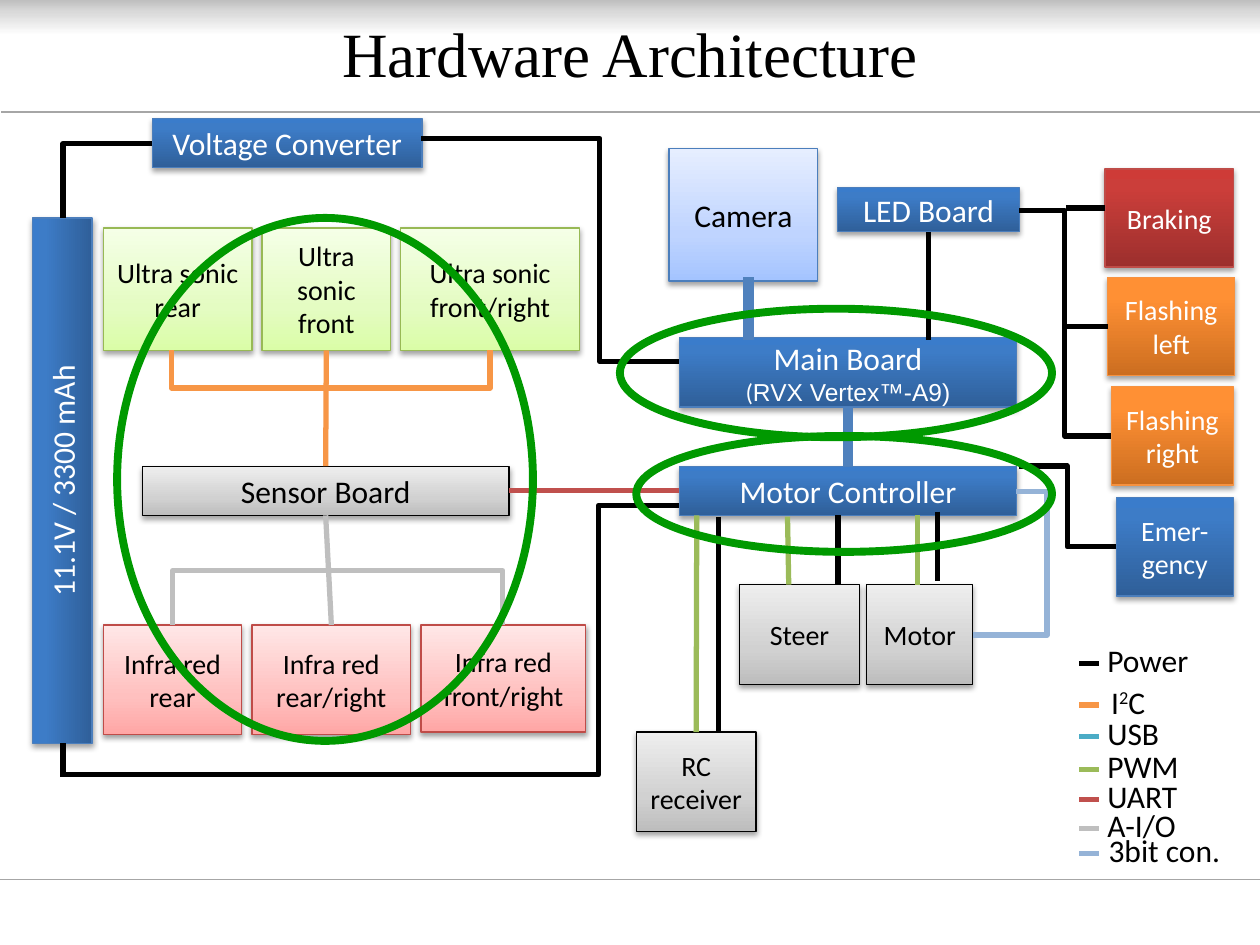
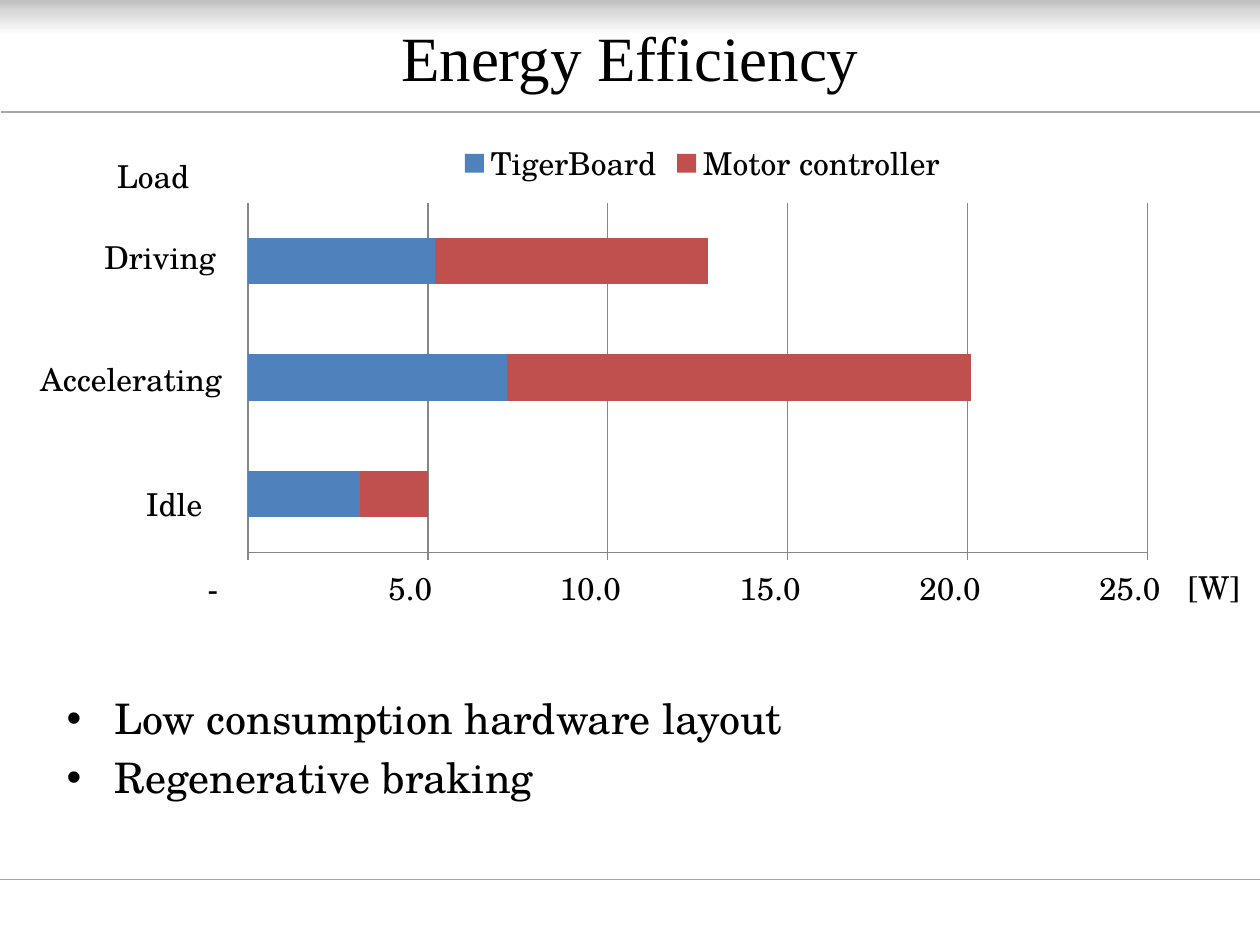
import copy
import dataclasses
import lxml.etree as etree
import pptx
import pptx.chart.data
import pptx.dml.color
import pptx.enum.chart
import pptx.enum.dml
import pptx.enum.shapes
import pptx.enum.text
import pptx.oxml.ns
import pptx.util

qn = pptx.oxml.ns.qn
RGB = pptx.dml.color.RGBColor.from_string
Pt = pptx.util.Pt
KIND = pptx.enum.shapes.MSO_SHAPE
LINK = pptx.enum.shapes.MSO_CONNECTOR
ALIGN = pptx.enum.text.PP_ALIGN
ANCHOR = pptx.enum.text.MSO_ANCHOR


@dataclasses.dataclass(frozen=True)
class Theme:
    sans: str = "Calibri"
    serif: str = "TeX Gyre Schola"
    head: str = "Times New Roman"
    title: int = 36
    list: int = 24
    body: int = 18
    small: int = 16
    note: int = 14
    ink: str = "000000"
    rule: str = "A6A6A6"
    grid: str = "868686"
    ring: str = "009900"
    link: str = "4F81BD"
    power: str = "000000"
    i2c: str = "F79646"
    usb: str = "4BACC6"
    pwm: str = "9BBB59"
    uart: str = "C0504D"
    aio: str = "BFBFBF"
    bits: str = "95B3D7"


theme = Theme()
looks = {
    "band": ([(0, "FFFFFF"), (66, "D9D9D9"), (100, "BFBFBF")], None, "000000"),
    "blue": ([(0, "2F5F99"), (80, "3D7CC7"), (100, "3A7CCB")], "4B7EBC", "FFFFFF"),
    "red": ([(0, "9C2F2D"), (80, "CB3E3A"), (100, "CE3B37")], "BF4C48", "FFFFFF"),
    "amber": ([(0, "CC6E20"), (80, "FF9034"), (100, "FF9136")], "F69240", "FFFFFF"),
    "sky": ([(0, "A4C4FF"), (35, "BFD4FF"), (100, "E6EEFF")], "4B7EBC", "000000"),
    "lime": ([(0, "DAFDA7"), (35, "E4FCC2"), (100, "F5FFE7")], "98B955", "000000"),
    "pink": ([(0, "FFA6A5"), (35, "FFC0BF"), (100, "FFE7E7")], "BF4C48", "000000"),
    "gray": ([(0, "BDBDBD"), (35, "D1D1D1"), (100, "EEEEEE")], "000000", "000000"),
}

deck = pptx.Presentation()
deck.slide_width = pptx.util.Inches(10)
deck.slide_height = pptx.util.Inches(7.5)
cell = deck.slide_width / 100


def draw(page, at, text="", look=None, size=theme.body, font=theme.sans,
         align=ALIGN.LEFT, anchor=ANCHOR.TOP, pad=0.5, wrap=True):
    place = [round(n * cell) for n in at]
    ink = theme.ink
    if look:
        stops, edge, ink = looks[look]
        shape = page.shapes.add_shape(KIND.RECTANGLE, *place)
        shape.fill.gradient()
        shape.fill.gradient_angle = 90
        bag = shape._element.spPr.find(qn("a:gradFill")).find(qn("a:gsLst"))
        for old in list(bag):
            bag.remove(old)
        for pos, tone in stops:
            stop = etree.SubElement(bag, qn("a:gs"), pos=str(pos * 1000))
            etree.SubElement(stop, qn("a:srgbClr"), val=tone)
        shape.shadow.inherit = False
        if edge:
            shape.line.color.rgb = RGB(edge)
            shape.line.width = Pt(0.75)
            glow = shape._element.spPr.find(qn("a:effectLst"))
            cast = etree.SubElement(glow, qn("a:outerShdw"), blurRad="40000",
                                    dist="22000", dir="5400000", rotWithShape="0")
            tone = etree.SubElement(cast, qn("a:srgbClr"), val=theme.ink)
            etree.SubElement(tone, qn("a:alpha"), val="36000")
        else:
            shape.line.fill.background()
    else:
        shape = page.shapes.add_textbox(*place)
    frame = shape.text_frame
    frame.word_wrap = wrap
    frame.vertical_anchor = anchor
    frame.margin_top = frame.margin_bottom = round(pad * cell)
    frame.text = text
    for para in frame.paragraphs:
        para.alignment = align
        for run in para.runs:
            run.font.size = Pt(size)
            run.font.name = font
            run.font.color.rgb = RGB(ink)
    return shape


def wire(page, ends, tone, bend=None, width=3, start=None, stop=None):
    kind = LINK.STRAIGHT if bend is None else LINK.ELBOW
    line = page.shapes.add_connector(kind, *[round(n * cell) for n in ends])
    if start:
        line.begin_connect(*start)
    if stop:
        line.end_connect(*stop)
    line.line.color.rgb = RGB(tone)
    line.line.width = Pt(width)
    form = line._element.spPr
    if bend is not None:
        share = round((bend - ends[0]) / (ends[2] - ends[0]) * 100000)
        etree.SubElement(form.find(qn("a:prstGeom")).find(qn("a:avLst")),
                         qn("a:gd"), name="adj1", fmla=f"val {share}")
    etree.SubElement(form, qn("a:effectLst"))


pages = []
for name, at, anchor, pad in [
    ("Hardware Architecture", (5, 0.3, 90, 7.7), ANCHOR.MIDDLE, 0.5),
    ("Energy Efficiency", (0, 2.1, 100, 6.4), ANCHOR.BOTTOM, 1),
]:
    page = deck.slides.add_slide(deck.slide_layouts[6])
    draw(page, (0, 0, 100, 2.8), look="band")
    wire(page, (0.1, 8.9, 100, 8.9), theme.rule, width=0.75)
    wire(page, (0, 69.8, 100, 69.8), theme.rule, width=0.75)
    draw(page, at, name, size=theme.title, font=theme.head,
         align=ALIGN.CENTER, anchor=anchor, pad=pad)
    pages.append(page)
plan, power = pages

node = {}
for look, size, text, at in [
    ("pink", theme.small, "Infra red rear", (8.2, 49.6, 11, 8.7)),
    ("pink", theme.small, "Infra red rear/right", (20, 49.6, 12.6, 8.7)),
    ("pink", theme.small, "Infra red front/right", (33.4, 49.6, 13.1, 8.5)),
    ("lime", theme.small, "Ultra sonic rear", (8.2, 18.1, 11.8, 9.7)),
    ("lime", theme.small, "Ultra sonic front", (20.8, 18.1, 10.2, 9.7)),
    ("lime", theme.small, "Ultra sonic front/right", (31.8, 18.1, 14.2, 9.7)),
    ("gray", theme.small, "Steer", (58.7, 46.4, 9.5, 7.9)),
    ("gray", theme.small, "Motor", (68.8, 46.4, 8.4, 7.9)),
    ("gray", theme.small, "RC receiver", (50.5, 58.1, 9.5, 7.9)),
    ("red", theme.small, "Braking", (87.7, 13.4, 10.2, 7.8)),
    ("amber", theme.small, "Flashing left", (87.9, 22, 10.1, 7.8)),
    ("amber", theme.small, "Flashing right", (88.2, 30.7, 9.7, 7.8)),
    ("blue", theme.small, "Emer-gency", (88.6, 39.5, 9.3, 7.8)),
    ("sky", theme.body, "Camera", (53.1, 11.8, 11.8, 10.5)),
    ("gray", theme.body, "Sensor Board", (11.3, 37, 29.1, 3.9)),
    ("blue", theme.body, "Main Board\n(", (53.9, 26.8, 26.8, 5.5)),
    ("blue", theme.body, "Motor Controller", (53.9, 37, 26.8, 3.9)),
    ("blue", theme.body, "Voltage Converter", (12.1, 9.4, 21.4, 3.9)),
    ("blue", theme.body, "LED Board", (66.5, 14.9, 14.4, 3.5)),
    ("blue", theme.body, "11.1V / 3300 mAh", (-15.9, 35.8, 41.7, 4.7)),
]:
    node[text.split("\n")[0]] = draw(plan, at, text, look, size,
                                     align=ALIGN.CENTER, anchor=ANCHOR.MIDDLE)
node["11.1V / 3300 mAh"].rotation = 270

chip = node["Main Board"].text_frame.paragraphs[1]
chip._p.append(copy.deepcopy(chip.runs[0]._r))
chip.runs[1].text = "RVX Vertex™-A9)"
chip.runs[1].font.name = "Arial"
for run in chip.runs:
    run.font.size = Pt(theme.note)

for ends, tone, bend in [
    ((25.9, 30.8, 13.6, 27.8), theme.i2c, 13.6),
    ((25.9, 30.8, 38.9, 27.8), theme.i2c, 38.9),
    ((25.9, 45.3, 13.7, 49.6), theme.aio, 13.7),
    ((25.9, 45.3, 39.9, 49.6), theme.aio, 39.9),
    ((12.1, 11.4, 5, 17.3), theme.power, 5),
    ((53.9, 28.7, 33.4, 11), theme.power, 47.6),
    ((53.9, 40.1, 4.8, 61.5), theme.power, 47.5),
    ((5, 61.5, 5, 59), theme.power, None),
    ((88.2, 34.6, 80.9, 16.7), theme.power, 84.5),
    ((88.6, 43.4, 80.9, 37), theme.power, 84.7),
    ((84.6, 16.5, 87.7, 16.5), theme.power, None),
    ((77.2, 50.4, 80.6, 39), theme.bits, 83.1),
    ((62.5, 41, 62.6, 46.4), theme.pwm, None),
    ((72.8, 40.9, 72.8, 46.4), theme.pwm, None),
    ((66.5, 40.9, 66.5, 46.4), theme.power, None),
    ((74.4, 40.6, 74.4, 46.1), theme.power, None),
    ((57, 41, 57, 58.2), theme.power, None),
]:
    wire(plan, ends, tone, bend)

sense, drive = node["Sensor Board"], node["Motor Controller"]
wire(plan, (59.4, 22, 59.4, 27), theme.link, width=6)
wire(plan, (67.3, 32.3, 67.3, 37), theme.link, width=6,
     start=(node["Main Board"], 2), stop=(drive, 0))
wire(plan, (40.4, 39, 53.9, 39), theme.uart, start=(sense, 3), stop=(drive, 1))
wire(plan, (25.9, 37, 25.9, 27.8), theme.i2c,
     start=(sense, 0), stop=(node["Ultra sonic front"], 2))
wire(plan, (25.9, 40.9, 26.3, 49.6), theme.aio,
     start=(sense, 2), stop=(node["Infra red rear/right"], 0))
wire(plan, (73.7, 18.4, 73.7, 27), theme.power, start=(node["LED Board"], 2))
wire(plan, (55.3, 40.9, 55.3, 58.1), theme.pwm, stop=(node["RC receiver"], 0))
wire(plan, (84.6, 25.9, 87.9, 25.9), theme.power, stop=(node["Flashing left"], 1))

for text, tone, left, top in [
    ("Power", theme.power, 86.9, 50.4),
    ("I", theme.i2c, 87.2, 53.7),
    ("USB", theme.usb, 86.9, 56.2),
    ("PWM", theme.pwm, 86.9, 58.8),
    ("UART", theme.uart, 86.9, 61.2),
    ("A-I/O", theme.aio, 86.9, 63.5),
    ("3bit con.", theme.bits, 87, 65.5),
]:
    key = draw(plan, (left, top, 11, 4), text, wrap=False)
    wire(plan, (87.2, top + 2.25, 85.6, top + 2.25), tone)
    if text == "I":
        para = key.text_frame.paragraphs[0]
        for more in "2C":
            para._p.append(copy.deepcopy(para.runs[0]._r))
            para.runs[-1].text = more
        para.runs[1]._r.rPr.set("baseline", "30000")

for at in [(49.2, 24.5, 34.3, 10.2), (50.5, 34.6, 33, 9.2), (9.3, 17.3, 33, 41.5)]:
    ring = plan.shapes.add_shape(KIND.OVAL, *[round(n * cell) for n in at])
    ring.fill.background()
    ring.line.color.rgb = RGB(theme.ring)
    ring.line.width = Pt(4.5)
    ring.shadow.inherit = False

data = pptx.chart.data.CategoryChartData()
data.categories = ["1", "2", "3"]
data.add_series("TigerBoard", (3.1, 7.2, 5.2))
data.add_series("Motor controller", (1.9, 12.9, 7.6))
chart = power.shapes.add_chart(
    pptx.enum.chart.XL_CHART_TYPE.BAR_STACKED,
    *[round(n * cell) for n in (14.2, 9.9, 83.1, 39.4)], data).chart
chart.font.name = theme.serif
chart.font.size = Pt(theme.body)
chart.font.color.rgb = RGB(theme.ink)
chart.has_title = False
chart.has_legend = True
chart.legend.position = pptx.enum.chart.XL_LEGEND_POSITION.TOP
chart.legend.include_in_layout = False
chart.legend.font.size = Pt(theme.body)
plot = chart.plots[0]
plot.gap_width = 150
plot.overlap = 100
plot.vary_by_categories = False
for bar, tone in zip(plot.series, (theme.link, theme.uart)):
    bar.format.fill.solid()
    bar.format.fill.fore_color.rgb = RGB(tone)
chart.category_axis.visible = False
axis = chart.value_axis
axis.minimum_scale, axis.maximum_scale, axis.major_unit = 0, 25, 5
axis.major_tick_mark = pptx.enum.chart.XL_TICK_MARK.OUTSIDE
axis.tick_labels.font.size = Pt(theme.body)
axis.tick_labels.number_format = (
    r'_-* #,##0.0\ _k_r_-;\-* #,##0.0\ _k_r_-;_-* "-"??\ _k_r_-;_-@_-')
axis.tick_labels.number_format_is_linked = False
for edge in (axis.format.line, axis.major_gridlines.format.line):
    edge.color.rgb = RGB(theme.grid)
    edge.width = Pt(0.75)

area = chart._chartSpace.chart.plotArea
for old in area.findall(qn("c:layout")):
    area.remove(old)
frame = etree.Element(qn("c:layout"))
area.insert(0, frame)
spot = etree.SubElement(frame, qn("c:manualLayout"))
for tag, val in [("layoutTarget", "inner"), ("xMode", "edge"), ("yMode", "edge"),
                 ("x", 0.066), ("y", 0.157), ("w", 0.859), ("h", 0.705)]:
    etree.SubElement(spot, qn("c:" + tag), val=str(val))

for text, at, pad in [
    ("[W]", (93.3, 44.1, 7.1, 6.4), 1),
    ("Load", (8.3, 11.5, 11.8, 6.4), 1),
    ("Driving", (7.3, 18.4, 12.6, 4), 0.5),
    ("Accelerating", (2.2, 28.1, 16.9, 4), 0.5),
    ("Idle", (10.6, 38, 12.6, 4), 0.5),
]:
    draw(power, at, text, font=theme.serif, pad=pad)

notes = draw(power, (4.3, 54, 85, 11.4),
             "Low consumption hardware layout\nRegenerative braking",
             size=theme.list, font=theme.serif, pad=1)
for para in notes.text_frame.paragraphs:
    para.space_before = Pt(theme.list / 5)
    rule = para._p.get_or_add_pPr()
    rule.set("marL", str(round(3.8 * cell)))
    rule.set("indent", str(round(-3.8 * cell)))
    etree.SubElement(rule, qn("a:buFont"), typeface="Arial")
    etree.SubElement(rule, qn("a:buChar"), char="•")

deck.save("out.pptx")
